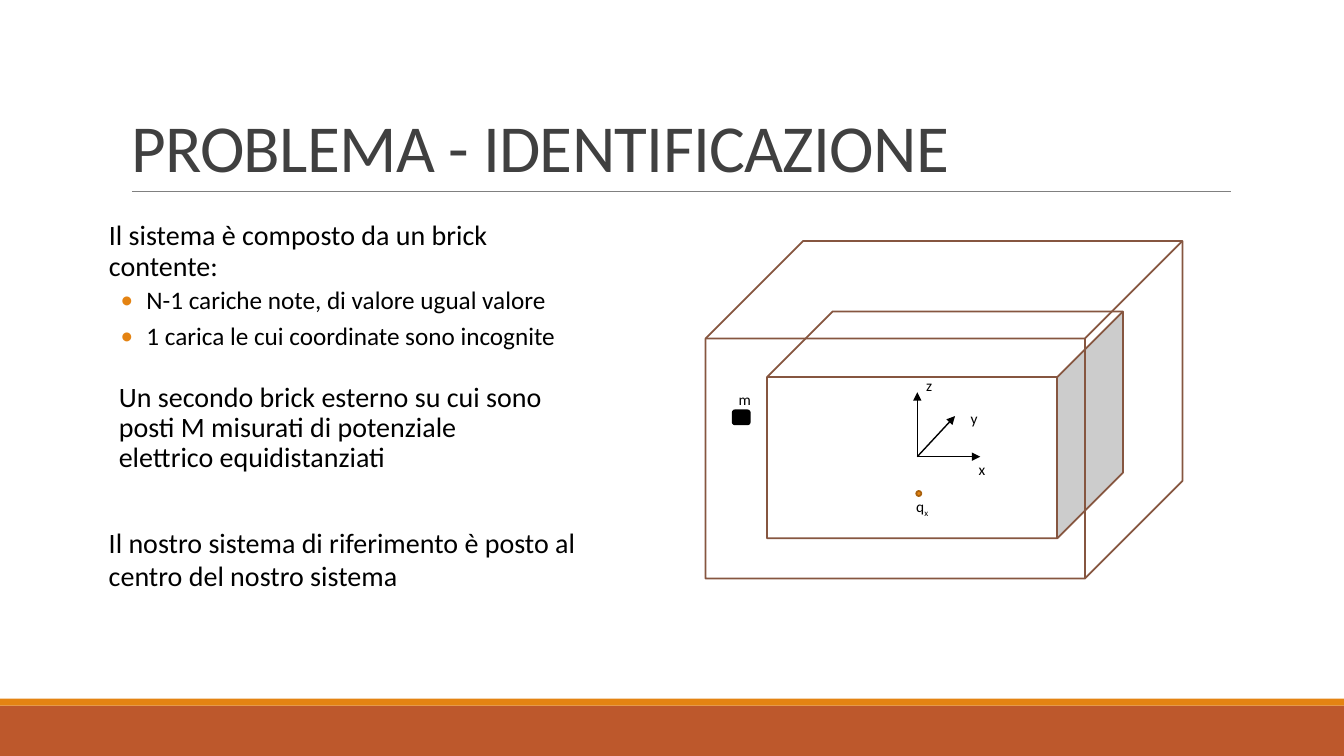
import pptx
import pptx.util
import pptx.dml.color
import pptx.enum.shapes
import pptx.enum.text
import pptx.oxml
import pptx.oxml.ns

Pt = pptx.util.Pt
SHAPE = pptx.enum.shapes.MSO_SHAPE
BLACK, WHITE, ORANGE, RUST, BROWN = "000000", "FFFFFF", "E48312", "BD582C", "865640"


def color(value):
    """Turn a hex string into a colour."""
    return pptx.dml.color.RGBColor.from_string(value)


def child(parent, tag, **attrs):
    """Append a drawing element with its attributes."""
    el = pptx.oxml.parse_xml(f"<a:{tag} {pptx.oxml.ns.nsdecls('a')}/>")
    for name, value in attrs.items():
        el.set(name, str(value))
    parent.append(el)


def add_block(s, kind, box, fill=None, line=None):
    """Draw a preset shape in a box."""
    sp = s.shapes.add_shape(kind, *map(Pt, box))
    sp.shadow.inherit = False
    if fill:
        sp.fill.solid()
        sp.fill.fore_color.rgb = color(fill)
    else:
        sp.fill.background()
    if line:
        sp.line.color.rgb = color(line)
        sp.line.width = Pt(1.25)
    else:
        sp.line.fill.background()
    return sp


def add_line(s, start, end, line, width, arrow=False):
    """Draw a straight line, with an arrowhead at its end if asked."""
    cn = s.shapes.add_connector(pptx.enum.shapes.MSO_CONNECTOR.STRAIGHT, *map(Pt, start + end))
    cn.line.color.rgb = color(line)
    cn.line.width = Pt(width)
    if arrow:
        child(cn.line._get_or_add_ln(), "tailEnd", type="triangle")
    child(cn._element.spPr, "effectLst")


def add_text(s, box):
    """Add a wrapping text box and return its text frame."""
    tf = s.shapes.add_textbox(*map(Pt, box)).text_frame
    tf.word_wrap = True
    return tf


def add_run(p, text, size, font_color=BLACK):
    """Add a Calibri run to a paragraph."""
    r = p.add_run()
    r.text = text
    r.font.name = "Calibri"
    r.font.size = Pt(size)
    r.font.color.rgb = color(font_color)
    return r


def set_spacing(p, line, before, after):
    """Set line and paragraph spacing."""
    p.line_spacing = line
    p.space_before = Pt(before)
    p.space_after = Pt(after)


def add_statement(p, text):
    """Write an indented statement."""
    set_spacing(p, 0.9, 12, 2)
    p._p.get_or_add_pPr().set("marL", str(Pt(7.2)))
    add_run(p, text, 20)


def add_bullet(p, text):
    """Write a bulleted item."""
    set_spacing(p, 0.9, 2, 4)
    p.level = 1
    pPr = p._p.get_or_add_pPr()
    pPr.set("marL", str(Pt(34)))
    pPr.set("indent", str(-Pt(18.4)))
    child(pPr, "buClr")
    child(pPr[-1], "srgbClr", val=ORANGE)
    child(pPr, "buFont", typeface="Calibri")
    child(pPr, "buChar", char="•")
    add_run(p, text, 18)


def add_footer_bands(s, box):
    """Draw the two bands at the foot of the slide."""
    x, y, w, h = box
    add_block(s, SHAPE.RECTANGLE, (x, y + 5, w, h - 5), RUST)
    add_block(s, SHAPE.RECTANGLE, (x, y, w, 5), ORANGE)


def add_title(s, box, text):
    """Place the title with the rule below it."""
    x, y, w, h = box
    add_line(s, (x + 7.9, y + h), (x + w + 0.7, y + h), "808080", 0.5)
    sp = s.shapes.title
    sp.left, sp.top, sp.width, sp.height = map(Pt, box)
    tf = sp.text_frame
    tf.word_wrap = True
    tf.auto_size = pptx.enum.text.MSO_AUTO_SIZE.NONE
    tf.vertical_anchor = pptx.enum.text.MSO_ANCHOR.BOTTOM
    p = tf.paragraphs[0]
    p.alignment = pptx.enum.text.PP_ALIGN.LEFT
    p.line_spacing = 0.85
    r = add_run(p, text, 48, "404040")
    r._r.get_or_add_rPr().set("spc", "-50")


def add_description(s, box):
    """Write the column of text describing the system."""
    x, y, w, h = box
    tf = add_text(s, (x, y, w, 109.4))
    tf.margin_left = tf.margin_right = 0
    add_statement(tf.paragraphs[0], "Il sistema è composto da un brick contente:")
    for item in ("N-1 cariche note, di valore ugual valore",
                 "1 carica le cui coordinate sono incognite"):
        add_bullet(tf.add_paragraph(), item)
    tf = add_text(s, (x, y + 115.2, w + 7.2, 72.7))
    add_statement(tf.paragraphs[0], "Un secondo brick esterno su cui sono posti M misurati "
                                    "di potenziale elettrico\u00a0equidistanziati")
    tf = add_text(s, (x, y + h - 55.4, w, 55.4))
    add_run(tf.paragraphs[0], "Il nostro sistema di riferimento è posto al centro "
                              "del nostro sistema", 20)


def add_label(s, x, y, w, text, subscript=None):
    """Write a small diagram label."""
    p = add_text(s, (x, y, w, 20)).paragraphs[0]
    set_spacing(p, 1.07, 0, 8)
    add_run(p, text, 11)
    if subscript:
        r = add_run(p, subscript, 11)
        r._r.get_or_add_rPr().set("baseline", "-25000")


def add_brick(s, box, fill=None):
    """Draw a brick."""
    sp = add_block(s, SHAPE.CUBE, box, fill, BROWN)
    sp.adjustments[0] = 0.289


def add_diagram(s, box):
    """Draw the nested bricks, axes, unknown charge and meter."""
    x, y, w, h = box
    add_brick(s, (x + 43.9, y + 50.4, 254.2, 162), WHITE)
    ox, oy = x + 151.2, y + 154.1
    for dx, dy in ((0, -46), (45, 0), (27, -29)):
        add_line(s, (ox, oy), (ox + dx, oy + dy), BLACK, 1, True)
    for text, dx, dy in (("x", 36.7, -2.2), ("y", 31, -38.2), ("z", -0.7, -61.9)):
        add_label(s, ox + dx, oy + dy, 18, text)
    add_block(s, SHAPE.OVAL, (ox - 0.7, oy + 24.5, 3.6, 3.6), ORANGE, "A9610D")
    add_label(s, ox - 7.9, oy + 24.5, 25.2, "q", "x")
    add_block(s, SHAPE.ROUNDED_RECTANGLE, (x + 19.4, y + 121, 12.2, 10), BLACK, BLACK)
    add_label(s, x + 16.6, y + 102.2, 23.8, "m")
    add_brick(s, box)


def main():
    """Build the slide and save it."""
    prs = pptx.Presentation()
    prs.slide_width, prs.slide_height = Pt(960), Pt(540)
    s = prs.slides.add_slide(prs.slide_layouts[5])
    add_footer_bands(s, (0, 499, 960, 41))
    add_title(s, (86.4, 22.3, 792, 114.5), "PROBLEMA - IDENTIFICAZIONE")
    add_description(s, (70.6, 154.8, 349, 272.2))
    add_diagram(s, (504, 172.1, 340.6, 241.2))
    prs.save("out.pptx")


if __name__ == "__main__":
    main()
